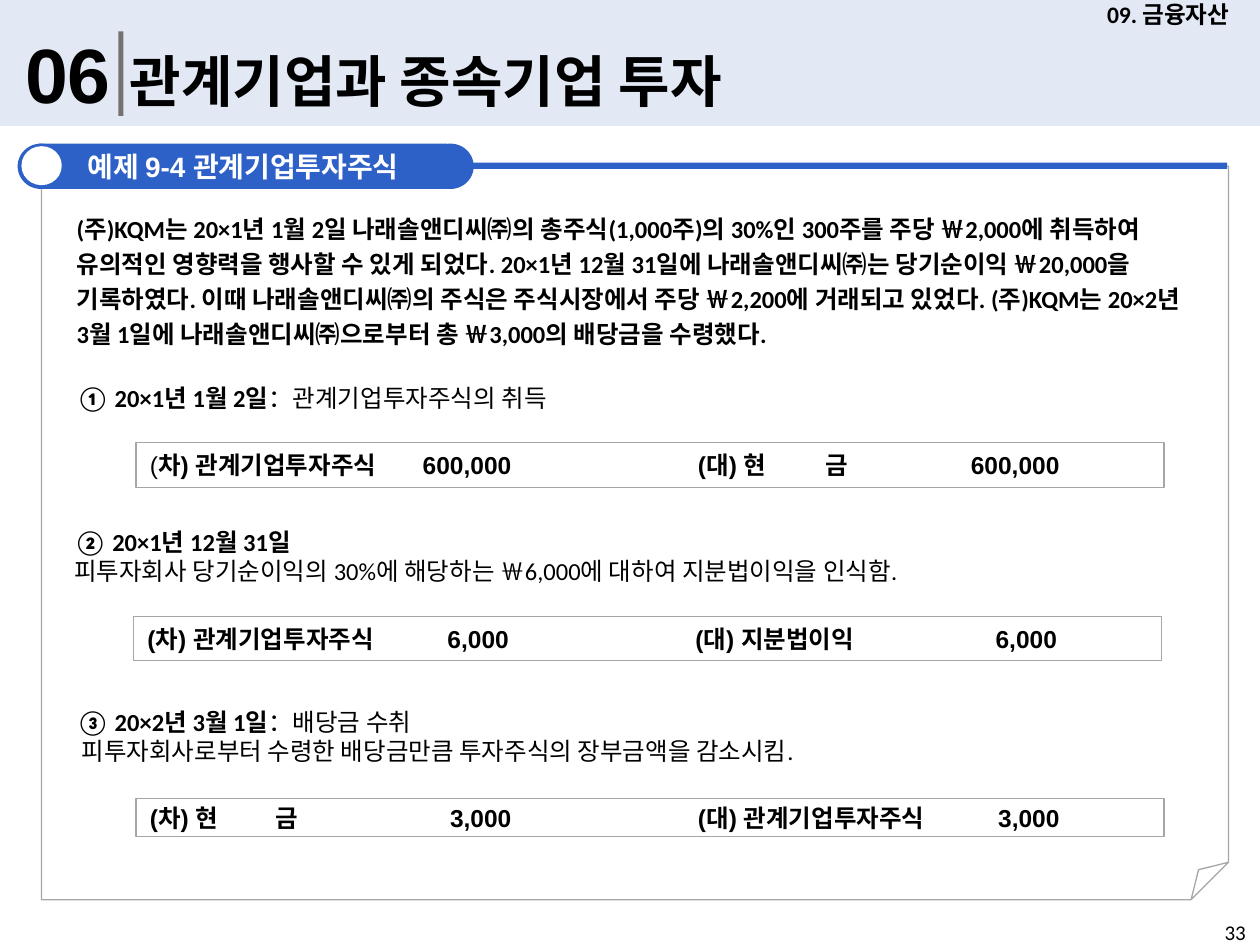
from lxml import etree
from pptx import Presentation
from pptx.dml.color import RGBColor
from pptx.enum.shapes import MSO_SHAPE
from pptx.enum.text import MSO_ANCHOR, MSO_AUTO_SIZE, PP_ALIGN
from pptx.oxml.ns import qn
from pptx.util import Inches, Pt

RECTANGLE, OVAL, FOLDED = MSO_SHAPE.RECTANGLE, MSO_SHAPE.OVAL, MSO_SHAPE.FOLDED_CORNER
TOP, MIDDLE = MSO_ANCHOR.TOP, MSO_ANCHOR.MIDDLE
LEFT, CENTER = PP_ALIGN.LEFT, PP_ALIGN.CENTER
GROW, FIXED = MSO_AUTO_SIZE.SHAPE_TO_FIT_TEXT, MSO_AUTO_SIZE.NONE

BLACK = RGBColor(0x00, 0x00, 0x00)
WHITE = RGBColor(0xFF, 0xFF, 0xFF)
BLUE = RGBColor(0x2D, 0x61, 0xC8)
PALE_BLUE = RGBColor(0xDA, 0xE3, 0xF3)
DARK_GRAY = RGBColor(0x76, 0x71, 0x71)
LINE_GRAY = RGBColor(0xA6, 0xA6, 0xA6)

PROBLEM = (
    "(주)KQM는 20×1년 1월 2일 나래솔앤디씨㈜의 총주식(1,000주)의 30%인 300주를 주당 ￦2,000에 "
    "취득하여 유의적인 영향력을 행사할 수 있게 되었다. 20×1년 12월 31일에 나래솔앤디씨㈜는 당기순이익 "
    "￦20,000을 기록하였다. 이때 나래솔앤디씨㈜의 주식은 주식시장에서 주당 ￦2,200에 거래되고 있었다. "
    "(주)KQM는 20×2년 3월 1일에 나래솔앤디씨㈜으로부터 총 ￦3,000의 배당금을 수령했다."
)
STEPS = [
    ((0.51, 2.99, 9.07, 0.34), [[("① 20×1년 1월 2일", True), ("：관계기업투자주식의 취득", False)]], 0),
    ((0.49, 4.13, 9.08, 0.57), [
        [("② 20×1년 12월 31일", True)],
        [("피투자회사 당기순이익의 30%에 해당하는 ￦6,000에 대하여 지분법이익을 인식함.", False)],
    ], 0),
    ((0.51, 5.56, 8.73, 0.57), [
        [("③ 20×2년 3월 1일", True), ("：배당금 수취", False)],
        [("피투자회사로부터 수령한 배당금만큼 투자주식의 장부금액을 감소시킴.", False)],
    ], 0.04),
]
ENTRIES = [
    ((1.08, 3.51, 8.16, 0.36), [("(", False), ("차) 관계기업투자주식\t600,000\t(대) 현\t금\t600,000", True)]),
    ((1.06, 4.89, 8.16, 0.35), [("(차) 관계기업투자주식\t6,000\t(대) 지분법이익\t6,000", True)]),
    ((1.08, 6.34, 8.16, 0.30), [("(차) 현\t금\t3,000\t(대) 관계기업투자주식\t3,000", True)]),
]
ENTRY_TABS = [(1.0, "l"), (2.87, "r"), (4.35, "l"), (5.36, "l"), (7.22, "r")]


def apply_format(target, values):
    """Set each attribute named in values on the target."""
    for name, value in values.items():
        setattr(target, name, value)


def add_block(slide, kind, box, fill=None, line=None):
    """Add a flat preset shape with an optional fill and outline."""
    shape = slide.shapes.add_shape(kind, *map(Inches, box))
    shape.shadow.inherit = False
    if fill is None:
        shape.fill.background()
    else:
        shape.fill.solid()
        shape.fill.fore_color.rgb = fill
    if line is None:
        shape.line.fill.background()
    else:
        shape.line.color.rgb = line
        shape.line.width = Pt(0.75)
    return shape


def write_runs(paragraph, runs, size, font="Calibri", color=BLACK):
    """Fill a paragraph with (text, bold) or (text, bold, font) runs."""
    for text, bold, *own_font in runs:
        run = paragraph.add_run()
        run.text = text
        name = own_font[0] if own_font else font
        apply_format(run.font, {"name": name, "size": Pt(size), "bold": bold})
        run.font.color.rgb = color


def add_text(slide, box, paragraphs, size, font="Calibri", align=LEFT,
             anchor=TOP, fit=GROW, spacing=1.0):
    """Add a wrapped text box and return its paragraphs."""
    frame = slide.shapes.add_textbox(*map(Inches, box)).text_frame
    apply_format(frame, {"word_wrap": True, "auto_size": fit, "vertical_anchor": anchor})
    for index, runs in enumerate(paragraphs):
        paragraph = frame.add_paragraph() if index else frame.paragraphs[0]
        apply_format(paragraph, {"alignment": align, "line_spacing": spacing})
        write_runs(paragraph, runs, size, font)
    return frame.paragraphs


def add_tabs(paragraph, stops):
    """Give a paragraph its tab stops."""
    tab_list = etree.SubElement(paragraph._p.get_or_add_pPr(), qn("a:tabLst"))
    for position, align in stops:
        etree.SubElement(tab_list, qn("a:tab"), pos=str(Inches(position)), algn=align)


def add_header(slide):
    """Draw the title band with chapter, number and heading."""
    band = add_block(slide, RECTANGLE, (0, 0, 10, 1), PALE_BLUE)
    color = band._element.spPr.find(qn("a:solidFill")).find(qn("a:srgbClr"))
    etree.SubElement(color, qn("a:alpha"), val="76000")
    add_text(slide, (0.1, 0.16, 0.91, 0.84), [[("06", True)]], 44, "Arial")
    add_block(slide, RECTANGLE, (0.94, 0.25, 0.04, 0.67), DARK_GRAY)
    add_text(slide, (0.93, 0.32, 7.33, 0.64), [[("관계기업과 종속기업 투자", True)]], 32)
    add_text(slide, (8.54, 0, 1.46, 0.23), [[("09. 금융자산", True)]], 13.5,
             align=CENTER, anchor=MIDDLE, fit=FIXED)


def add_example_frame(slide):
    """Draw the folded page and its rounded blue label."""
    page = add_block(slide, FOLDED, (0.33, 1.32, 9.42, 5.82), line=LINE_GRAY)
    guides = page._element.spPr.find(qn("a:prstGeom")).find(qn("a:avLst"))
    etree.SubElement(guides, qn("a:gd"), name="adj", fmla="val 5100")
    add_block(slide, RECTANGLE, (0.33, 1.29, 9.41, 0.05), BLUE)
    for left in (0.14, 3.39):
        add_block(slide, OVAL, (left, 1.14, 0.37, 0.36), BLUE)
    label = add_block(slide, RECTANGLE, (0.31, 1.14, 3.24, 0.36), BLUE)
    label.text_frame.vertical_anchor = MIDDLE
    paragraph = label.text_frame.paragraphs[0]
    paragraph.alignment = CENTER
    write_runs(paragraph, [("예제 ", True), ("9-4 관계기업투자주식", True, "Arial")], 16, color=WHITE)
    add_block(slide, OVAL, (0.17, 1.16, 0.32, 0.31), WHITE)


def add_entry(slide, box, runs):
    """Add a boxed journal entry with debit and credit columns."""
    entry = add_block(slide, RECTANGLE, box, WHITE, LINE_GRAY)
    frame = entry.text_frame
    apply_format(frame, {
        "word_wrap": True, "vertical_anchor": MIDDLE,
        "margin_left": Inches(0.11), "margin_right": Inches(0.11),
    })
    paragraph = frame.paragraphs[0]
    paragraph.alignment = LEFT
    add_tabs(paragraph, ENTRY_TABS)
    write_runs(paragraph, runs, 14, "Arial")


def main():
    """Build the slide and save it."""
    presentation = Presentation()
    apply_format(presentation, {"slide_width": Inches(10), "slide_height": Inches(7.5)})
    slide = presentation.slides.add_slide(presentation.slide_layouts[6])
    add_header(slide)
    add_example_frame(slide)
    add_text(slide, (0.51, 1.6, 9.06, 1.21), [[(PROBLEM, True)]], 14, spacing=1.2)
    for box, paragraphs, indent in STEPS:
        last = add_text(slide, box, paragraphs, 14)[-1]
        if indent:
            last._p.get_or_add_pPr().set("marL", str(Inches(indent)))
    for box, runs in ENTRIES:
        add_entry(slide, box, runs)
    add_text(slide, (9.62, 7.25, 0.38, 0.25), [[("33", False)]], 12, fit=FIXED)
    presentation.save("out.pptx")


if __name__ == "__main__":
    main()
